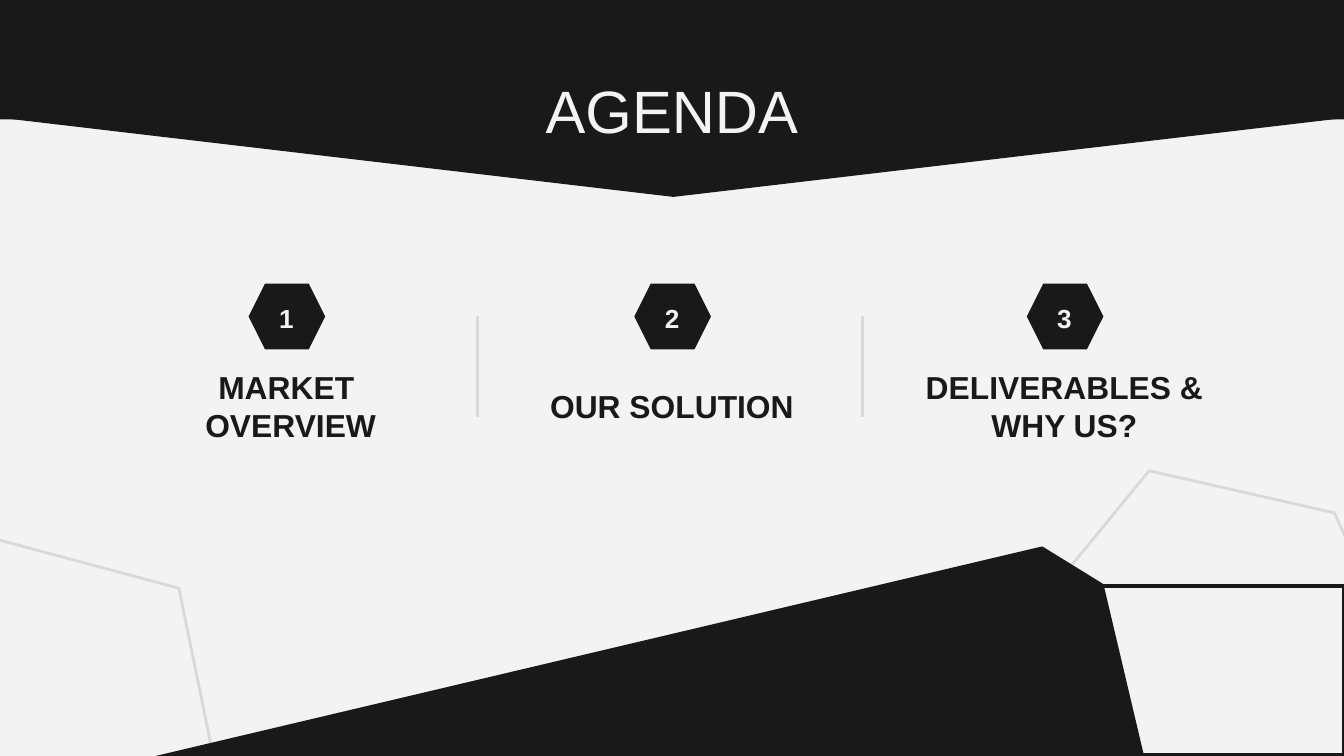
from dataclasses import dataclass

from lxml import etree
from pptx import Presentation
from pptx.dml.color import RGBColor
from pptx.enum.shapes import MSO_CONNECTOR, MSO_SHAPE as Shape
from pptx.enum.text import MSO_ANCHOR as Anchor, PP_ALIGN as Align
from pptx.oxml.ns import qn
from pptx.util import Inches, Pt

DARK, LIGHT, GREY = "191919", "F3F3F3", "D9D9D9"


@dataclass
class AgendaItem:
    number: str
    label: str
    center: float
    width: float
    height: float = 0.63


@dataclass
class Block:
    kind: Shape
    box: tuple[float, float, float, float]
    fill: str | None = None
    line: str | None = None
    weight: float = 1.5
    rotation: float = 0


ITEMS = [
    AgendaItem("1", "MARKET\n OVERVIEW", 2.13, 1.75),
    AgendaItem("2", "OUR SOLUTION", 5.0, 2.02),
    AgendaItem("3", "DELIVERABLES & WHY US?", 7.92, 2.4, 0.9),
]
HEADER = [
    Block(Shape.ISOSCELES_TRIANGLE, (-0.01, 0.87, 10.04, 0.59), DARK, DARK, 0.75, 180),
    Block(Shape.RECTANGLE, (-0.01, -0.04, 10.04, 0.93), DARK),
]
OUTLINES = [
    Block(Shape.HEXAGON, (-1.56, 4.08, 3.23, 2.53), line=GREY, rotation=15),
    Block(Shape.HEXAGON, (7.29, 3.8, 3.23, 2.53), line=GREY, rotation=309.4),
]
FOOTER = [
    Block(Shape.SNIP_2_DIAG_RECTANGLE, (-4.28, 5.44, 12.82, 2.22), DARK, DARK, 2, 346.7),
    Block(Shape.RECTANGLE, (8.19, 4.36, 1.81, 1.26), line=DARK, weight=2),
]
DIVIDERS = (6.42, 3.55)


def color(value: str) -> RGBColor:
    return RGBColor.from_string(value)


def add_block(s, block: Block) -> None:
    sp = s.shapes.add_shape(block.kind, *map(Inches, block.box))
    sp.shadow.inherit = False
    sp.rotation = block.rotation
    if block.fill:
        sp.fill.solid()
        sp.fill.fore_color.rgb = color(block.fill)
    else:
        sp.fill.background()
    if block.line:
        sp.line.color.rgb = color(block.line)
        sp.line.width = Pt(block.weight)
    else:
        sp.line.fill.background()


def add_text(s, text: str, center: float, top: float, width: float, height: float,
             size: float, ink: str, bold: bool = True) -> None:
    box = (center - width / 2, top, width, height)
    tf = s.shapes.add_textbox(*map(Inches, box)).text_frame
    tf.word_wrap = True
    tf.vertical_anchor = Anchor.MIDDLE
    tf.margin_left = tf.margin_right = tf.margin_top = tf.margin_bottom = Inches(0.1)
    tf.text = text
    for p in tf.paragraphs:
        p.alignment = Align.CENTER
        for r in p.runs:
            r.font.name = "Arial"
            r.font.size = Pt(size)
            r.font.bold = bold
            r.font.color.rgb = color(ink)


def add_divider(s, x: float) -> None:
    line = s.shapes.add_connector(
        MSO_CONNECTOR.STRAIGHT, Inches(x), Inches(2.35), Inches(x), Inches(3.1))
    line.line.color.rgb = color(GREY)
    line.line.width = Pt(1.5)
    etree.SubElement(line._element.spPr, qn("a:effectLst"))


def main() -> None:
    prs = Presentation()
    prs.slide_width = Inches(10)
    prs.slide_height = prs.slide_width * 9 // 16
    s = prs.slides.add_slide(prs.slide_layouts[6])
    s.background.fill.solid()
    s.background.fill.fore_color.rgb = color(LIGHT)

    # Number badges, header banner and title
    for item in ITEMS:
        add_block(s, Block(Shape.HEXAGON, (item.center - 0.28, 2.11, 0.57, 0.49), DARK))
    for block in HEADER:
        add_block(s, block)
    add_text(s, "AGENDA", 5, 0.44, 3.26, 0.75, 32, LIGHT, bold=False)

    # Background outlines and column dividers
    for block in OUTLINES:
        add_block(s, block)
    for x in DIVIDERS:
        add_divider(s, x)

    # Agenda labels, then their numbers
    for item in ITEMS:
        add_text(s, item.label, item.center, 3.02 - item.height / 2,
                 item.width, item.height, 17, DARK)
    for item in ITEMS:
        add_text(s, item.number, item.center, 2.2, 0.82, 0.33, 14, LIGHT)

    # Footer shapes
    for block in FOOTER:
        add_block(s, block)

    prs.save("out.pptx")


if __name__ == "__main__":
    main()
